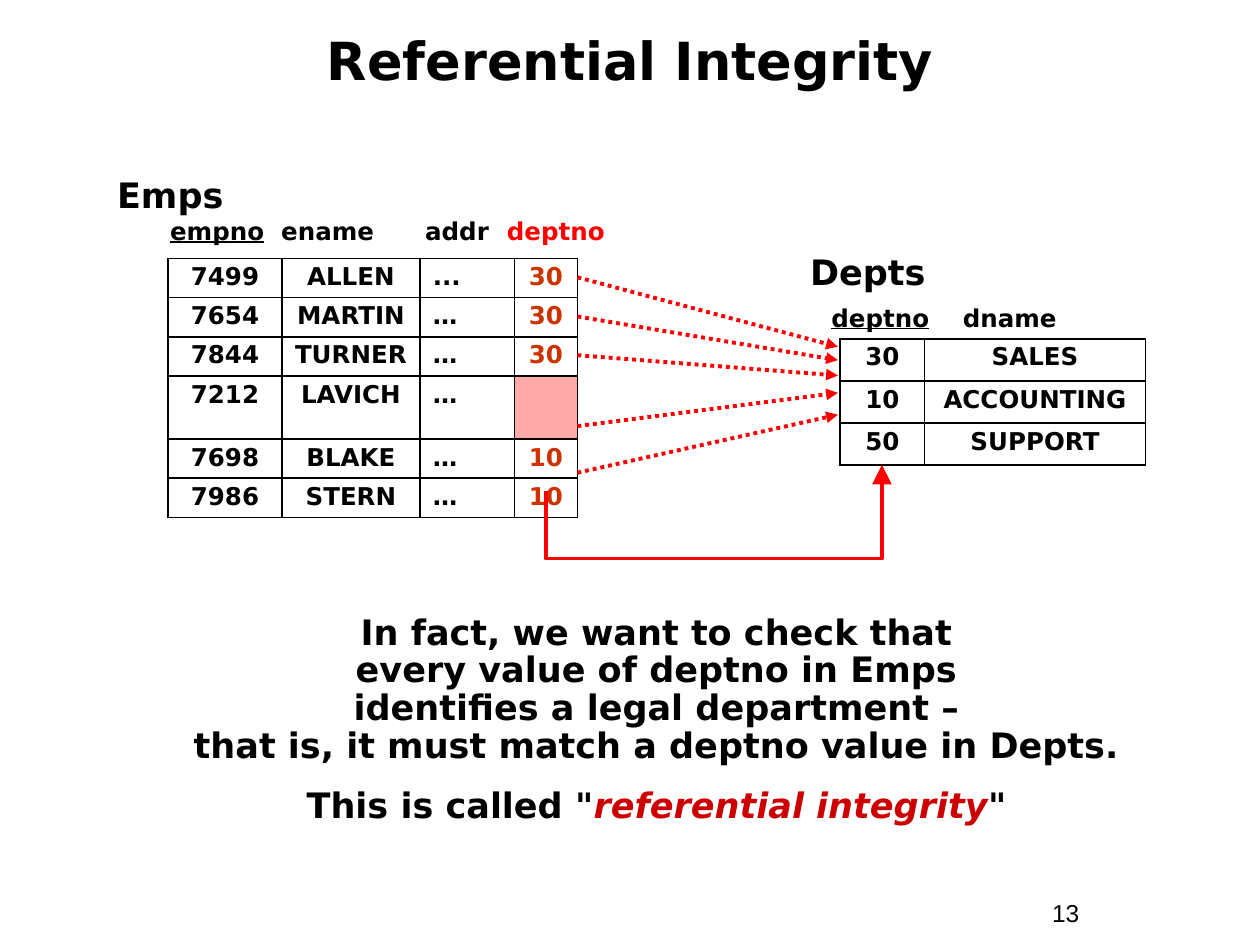
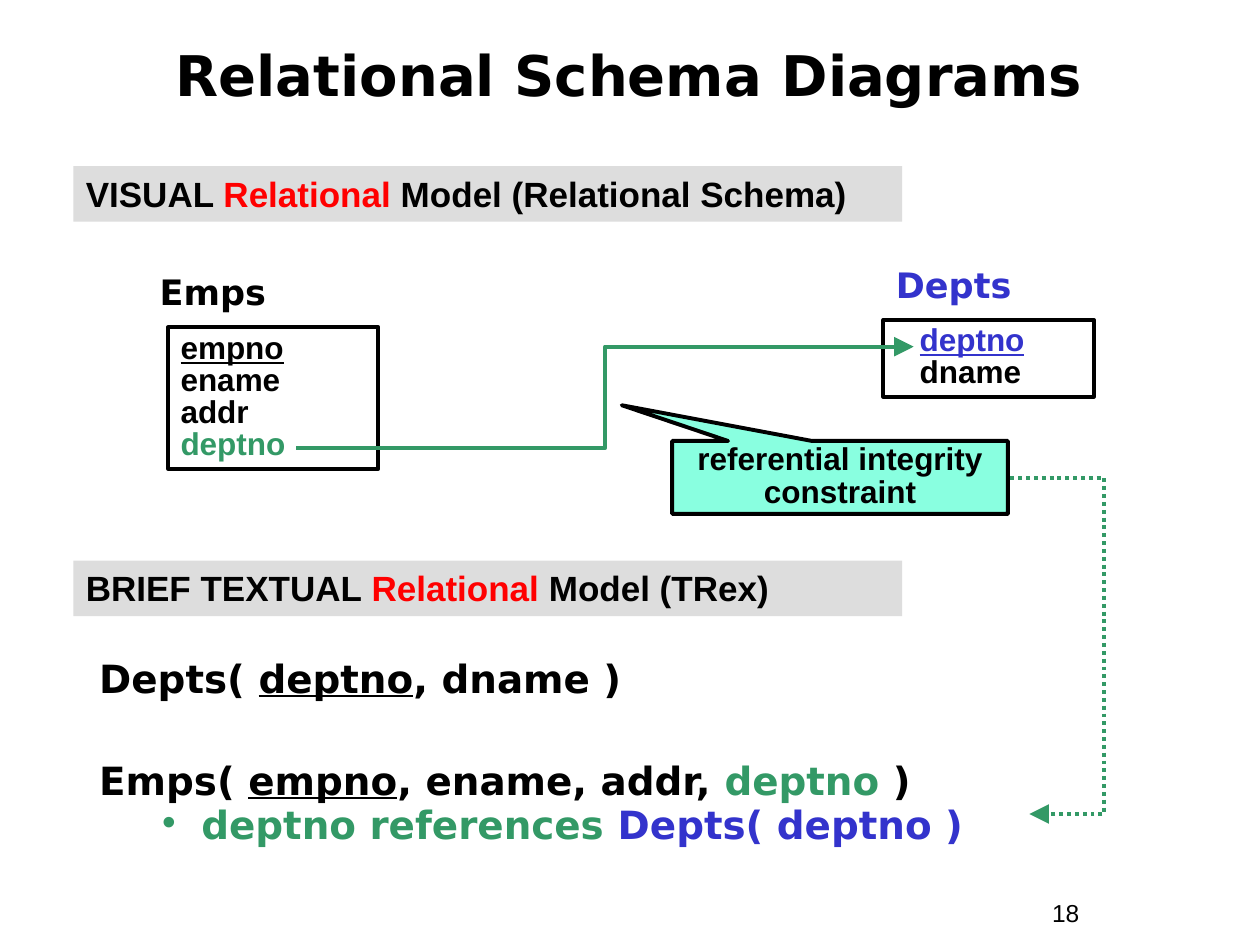
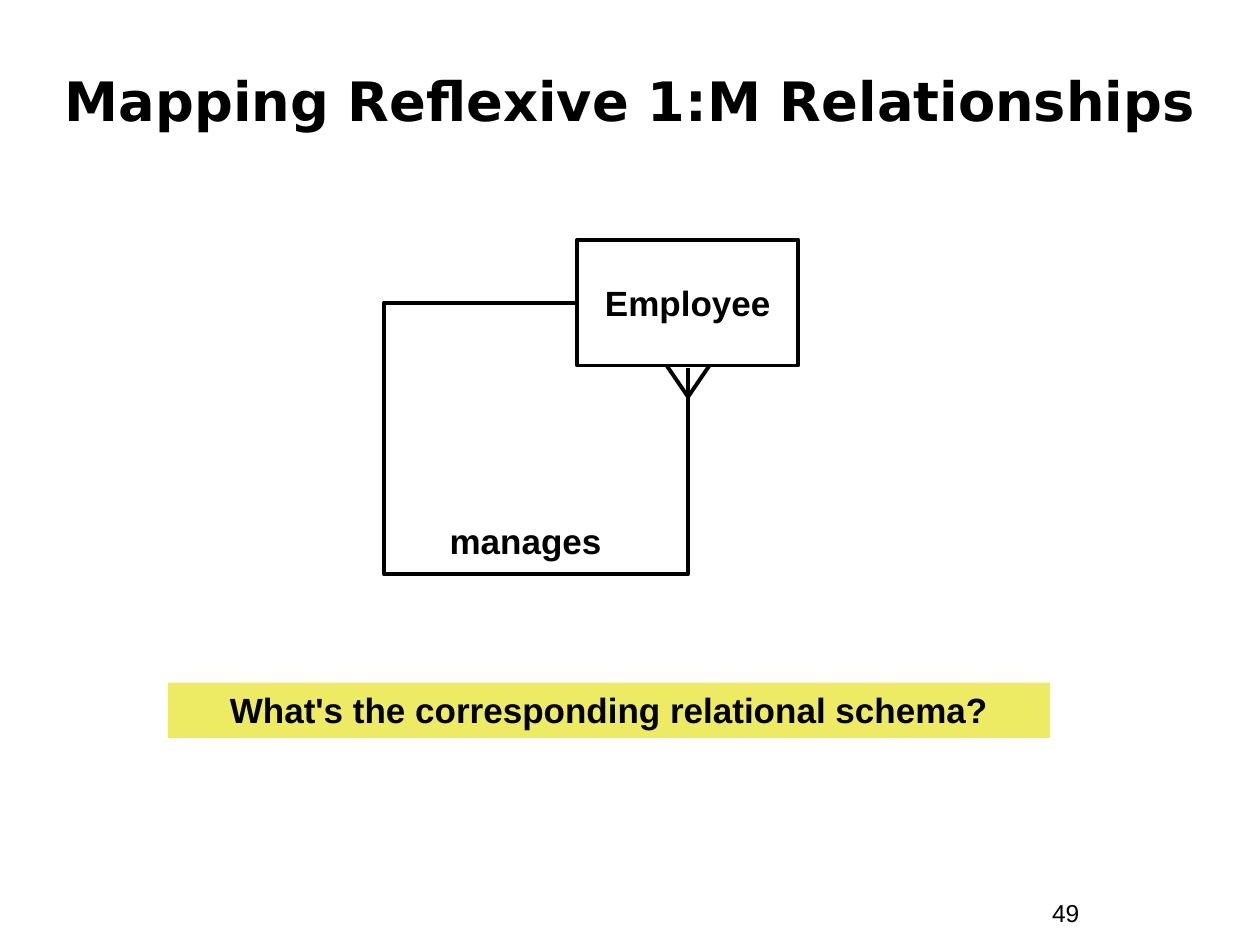
import math

import lxml.etree
import pptx
import pptx.dml.color
import pptx.enum.dml
import pptx.enum.shapes
import pptx.enum.text
import pptx.oxml.ns
import pptx.util

Cm = pptx.util.Cm
Pt = pptx.util.Pt
RGBColor = pptx.dml.color.RGBColor
Align = pptx.enum.text.PP_ALIGN
Anchor = pptx.enum.text.MSO_ANCHOR
Shape = pptx.enum.shapes.MSO_SHAPE
Connector = pptx.enum.shapes.MSO_CONNECTOR
qn = pptx.oxml.ns.qn

# Shared colours and fonts
BLACK = RGBColor(0x00, 0x00, 0x00)
RED = RGBColor(0xFF, 0x00, 0x00)
DARK_RED = RGBColor(0xCC, 0x00, 0x00)
RUST = RGBColor(0xCC, 0x33, 0x00)
PINK = RGBColor(0xFF, 0xA9, 0xA9)
GREEN = RGBColor(0x33, 0x99, 0x66)
BLUE = RGBColor(0x33, 0x33, 0xCC)
GREY = RGBColor(0xDD, 0xDD, 0xDD)
AQUA = RGBColor(0x89, 0xFF, 0xE0)
YELLOW = RGBColor(0xED, 0xEA, 0x63)
HEADING_FONT = "DejaVu Sans"
BODY_FONT = "Arial"
LINE_WIDTH = Pt(2.25)


def add_element(parent, tag, **attributes):
    return lxml.etree.SubElement(parent, qn(tag), **attributes)


class Deck:
    """Holds the style and the current slide."""

    def __init__(self):
        self.presentation = pptx.Presentation()
        self.presentation.slide_width = Cm(25.4)
        self.presentation.slide_height = Cm(19.05)
        self.slide = None

    def add_slide(self, title, number, box, size, spacing=None):
        layout = self.presentation.slide_layouts[5]
        self.slide = self.presentation.slides.add_slide(layout)
        shape = self.slide.shapes.title
        shape.left, shape.top, shape.width, shape.height = map(Cm, box)
        shape.text_frame.auto_size = pptx.enum.text.MSO_AUTO_SIZE.NONE
        shape.text_frame.vertical_anchor = Anchor.MIDDLE
        self.set_text(shape.text_frame, [title], size, HEADING_FONT,
                      align=Align.CENTER, spacing=spacing)
        self.text((20.96, 17.98, 2.34, 0.86), [str(number)], 14, BODY_FONT, bold=False)

    def set_text(self, text_frame, paragraphs, size, font=BODY_FONT, color=BLACK,
                 bold=True, align=Align.LEFT, spacing=None):
        """Each paragraph is a string or a list of (text, run format) pieces."""
        for index, pieces in enumerate(paragraphs):
            paragraph = text_frame.paragraphs[0] if index == 0 else text_frame.add_paragraph()
            paragraph.alignment = align
            if spacing:
                paragraph.line_spacing = spacing
            if isinstance(pieces, str):
                pieces = [(pieces, {})]
            for text, run_format in pieces:
                first = len(paragraph.runs)
                if first:
                    paragraph.add_run().text = text
                else:
                    paragraph.text = text
                for run in paragraph.runs[first:]:
                    run.font.name, run.font.size, run.font.bold = font, Pt(size), bold
                    run.font.color.rgb = run_format.get("color", color)
                    run.font.underline = run_format.get("underline")
                    run.font.italic = run_format.get("italic")

    def text(self, box, paragraphs, size=20, font=HEADING_FONT, **style):
        shape = self.slide.shapes.add_textbox(*map(Cm, box))
        shape.text_frame.word_wrap = True
        self.set_text(shape.text_frame, paragraphs, size, font, **style)
        return shape

    def label(self, left, top, name, color=BLACK):
        self.text((left, top, 5.46, 1.12), [name], color=color)

    def column_heads(self, box, pieces, tab_stops):
        paragraph = self.text(box, [pieces], 14).text_frame.paragraphs[0]
        tabs = add_element(paragraph._p.get_or_add_pPr(), "a:tabLst")
        for stop in tab_stops:
            add_element(tabs, "a:tab", pos=str(Cm(stop)), algn="l")

    def shape(self, box, paragraphs, size=20, fill=None, outline=None,
              kind=Shape.RECTANGLE, anchor=Anchor.TOP, **style):
        shape = self.slide.shapes.add_shape(kind, *map(Cm, box))
        shape.shadow.inherit = False
        if fill:
            shape.fill.solid()
            shape.fill.fore_color.rgb = fill
        else:
            shape.fill.background()
        if outline:
            shape.line.color.rgb = outline
            shape.line.width = LINE_WIDTH
        else:
            shape.line.fill.background()
        shape.text_frame.vertical_anchor = anchor
        self.set_text(shape.text_frame, paragraphs, size, **style)
        return shape

    def table(self, left, top, widths, heights, rows, left_column=None, key_column=None):
        frame = self.slide.shapes.add_table(
            len(rows), len(widths), Cm(left), Cm(top), Cm(sum(widths)), Cm(sum(heights)))
        table = frame.table
        table.first_row = table.horz_banding = False
        for column, width in zip(table.columns, widths):
            column.width = Cm(width)
        for row, height, values in zip(table.rows, heights, rows):
            row.height = Cm(height)
            for index, (cell, value) in enumerate(zip(row.cells, values)):
                self.border(cell)
                if value:
                    cell.fill.background()
                    self.set_text(cell.text_frame, [value], 14, HEADING_FONT,
                                  color=RUST if index == key_column else BLACK,
                                  align=Align.LEFT if index == left_column else Align.CENTER,
                                  spacing=0.9)
                else:
                    cell.fill.solid()
                    cell.fill.fore_color.rgb = PINK

    def border(self, cell):
        properties = cell._tc.get_or_add_tcPr()
        for side in ("a:lnL", "a:lnR", "a:lnT", "a:lnB"):
            line = add_element(properties, side, w=str(Pt(1.08)))
            add_element(add_element(line, "a:solidFill"), "a:srgbClr", val=str(BLACK))

    def line(self, start, end, color=BLACK, head=None, dotted=False, kind=Connector.STRAIGHT):
        connector = self.slide.shapes.add_connector(kind, *map(Cm, (*start, *end)))
        connector.line.color.rgb = color
        connector.line.width = LINE_WIDTH
        if dotted:
            connector.line.dash_style = pptx.enum.dml.MSO_LINE.ROUND_DOT
        properties = connector._element.spPr
        if head:
            add_element(properties.find(qn("a:ln")), "a:tailEnd",
                        type="triangle", w=head, len=head)
        add_element(properties, "a:effectLst")
        return connector

    def elbow(self, start, end, adjustments, rotation=0, **style):
        """Draw a bent connector; its frame is turned back, then rotated into place."""
        center_x, center_y = (start[0] + end[0]) / 2, (start[1] + end[1]) / 2
        cosine = math.cos(math.radians(rotation))
        sine = math.sin(math.radians(rotation))
        turned = [(center_x + (x - center_x) * cosine + (y - center_y) * sine,
                   center_y - (x - center_x) * sine + (y - center_y) * cosine)
                  for x, y in (start, end)]
        connector = self.line(*turned, kind=Connector.ELBOW, **style)
        properties = connector._element.spPr
        if rotation:
            properties.find(qn("a:xfrm")).set("rot", str(rotation * 60000))
        geometry = properties.find(qn("a:prstGeom"))
        geometry.set("prst", f"bentConnector{len(adjustments) + 2}")
        guides = geometry.find(qn("a:avLst"))
        for index, value in enumerate(adjustments, 1):
            add_element(guides, "a:gd", name=f"adj{index}", fmla=f"val {round(value * 100000)}")

    def bullet(self, paragraph, color):
        properties = paragraph._p.get_or_add_pPr()
        properties.set("marL", str(Cm(2.06)))
        properties.set("indent", str(Cm(-0.79)))
        add_element(add_element(properties, "a:buClr"), "a:srgbClr", val=str(color))
        add_element(properties, "a:buFont", typeface=BODY_FONT)
        add_element(properties, "a:buChar", char="•")


def referential_integrity(deck):
    deck.add_slide("Referential Integrity", 13, (0.64, 0.46, 24.13, 1.47), 30)

    # Departments
    deck.table(16.94, 6.83, (1.7, 4.45), [0.85] * 3,
               [("30", "SALES"), ("10", "ACCOUNTING"), ("50", "SUPPORT")])
    deck.column_heads((16.51, 5.99, 6.35, 0.86),
                      [("deptno", {"underline": True}), ("\tdname", {}),
                       ("\t", {"underline": True})], (2.65, 4.89))
    deck.label(16.08, 4.93, "Depts")

    # Employees
    deck.column_heads((3.18, 4.24, 9.53, 0.86),
                      [("empno", {"underline": True}), ("\tename\taddr\t", {}),
                       ("deptno", {"color": RED})], (2.24, 5.14, 6.79))
    employees = [
        ("7499", "ALLEN", "...", "30"),
        ("7654", "MARTIN", "…", "30"),
        ("7844", "TURNER", "…", "30"),
        ("7212", "LAVICH", "…", ""),
        ("7698", "BLAKE", "…", "10"),
        ("7986", "STERN", "…", "10"),
    ]
    deck.table(3.39, 5.21, (2.29, 2.79, 1.9, 1.27),
               [0.79 if row[-1] else 1.27 for row in employees],
               employees, left_column=2, key_column=3)
    deck.label(2.11, 3.38, "Emps")

    # References from employees to departments
    for start_y, end_y in ((5.59, 6.99), (6.38, 7.26), (7.16, 7.57), (8.59, 7.92), (9.53, 8.36)):
        deck.line((11.64, start_y), (16.89, end_y), RED, head="med", dotted=True)
    deck.elbow((11, 9.91), (17.78, 9.37), [-2.5], rotation=90, color=RED, head="lg")

    # Definition
    definition = deck.text((3.61, 12.27, 19.25, 4.52), [
        "In fact, we want to check that\vevery value of deptno in Emps\v"
        "identifies a legal department –\vthat is, it must match a deptno value in Depts.",
        [('This is called "', {}),
         ("referential integrity", {"color": DARK_RED, "italic": True}), ('"', {})],
    ], align=Align.CENTER, spacing=0.9)
    definition.text_frame.paragraphs[1].space_before = Pt(12.5)


def schema_diagrams(deck):
    deck.add_slide("Relational Schema Diagrams", 18, (0.84, 0.43, 23.7, 2.34), 32, 0.85)

    # Textual model
    model = deck.text((1.75, 13.34, 22.43, 4.65), [
        [("Depts( ", {}), ("deptno", {"underline": True}), (", dname )", {})],
        [("Emps( ", {}), ("empno", {"underline": True}), (", ename, addr, ", {}),
         ("deptno", {"color": GREEN}), (" )", {})],
        [("deptno references ", {"color": GREEN}), ("Depts( deptno )", {"color": BLUE})],
    ], 22.2, spacing=0.7)
    employees, reference = model.text_frame.paragraphs[1:]
    employees.space_before = Pt(39.6)
    reference.space_before = Pt(6)
    deck.bullet(reference, GREEN)

    # Section bands
    for top, start, end in ((3.35, "VISUAL ", " Model (Relational Schema)"),
                            (11.3, "BRIEF TEXTUAL ", " Model (TRex)")):
        deck.shape((1.48, top, 16.71, 1.12),
                   [[(start, {}), ("Relational", {"color": RED}), (end, {})]], fill=GREY)

    # Visual model
    deck.label(2.97, 5.33, "Emps")
    deck.shape((3.39, 6.6, 4.24, 2.85),
               [[("empno", {"underline": True})], "ename", "addr",
                [("deptno", {"color": GREEN})]], 18, outline=BLACK, spacing=0.85)
    deck.label(17.81, 5.18, "Depts", BLUE)
    departments = deck.shape((17.81, 6.45, 4.24, 1.55),
                             [[("deptno", {"color": BLUE, "underline": True})], "dname"],
                             18, outline=BLACK, spacing=0.85)
    departments.text_frame.margin_left = Cm(0.73)
    deck.elbow((5.97, 9.04), (18.42, 6.99), [0.5], color=GREEN, head="lg")

    # Constraint callout
    callout = deck.shape((13.55, 8.89, 6.77, 1.47), ["referential integrity constraint"], 18,
                         fill=AQUA, outline=BLACK, kind=Shape.RECTANGULAR_CALLOUT,
                         anchor=Anchor.MIDDLE, align=Align.CENTER, spacing=0.85)
    callout.adjustments[0], callout.adjustments[1] = -0.65, -0.99
    deck.elbow((20.37, 9.63), (20.75, 16.41), [4.95], color=GREEN, head="lg", dotted=True)


def reflexive_relationships(deck):
    deck.add_slide("Mapping Reflexive 1:M Relationships", 49, (0.84, 0.84, 23.7, 2.34), 31)
    deck.shape((3.39, 13.76, 17.78, 1.12), ["What's the corresponding relational schema?"],
               fill=YELLOW, align=Align.CENTER)

    # Entity with its loop and crow's foot
    employee = deck.shape((11.64, 4.83, 4.45, 2.54), ["Employee"], outline=BLACK,
                          anchor=Anchor.MIDDLE, align=Align.CENTER)
    employee.text_frame.word_wrap = False
    deck.elbow((11.61, 6.1), (13.87, 7.42), [-1.71, 4.15], rotation=180)
    for toe_x in (13.44, 14.3):
        deck.line((13.87, 8), (toe_x, 7.37))
    deck.text((8.69, 10.34, 3.81, 1.12), ["manages"], font=BODY_FONT, align=Align.CENTER)


def main():
    deck = Deck()
    referential_integrity(deck)
    schema_diagrams(deck)
    reflexive_relationships(deck)
    deck.presentation.save("out.pptx")


if __name__ == "__main__":
    main()
